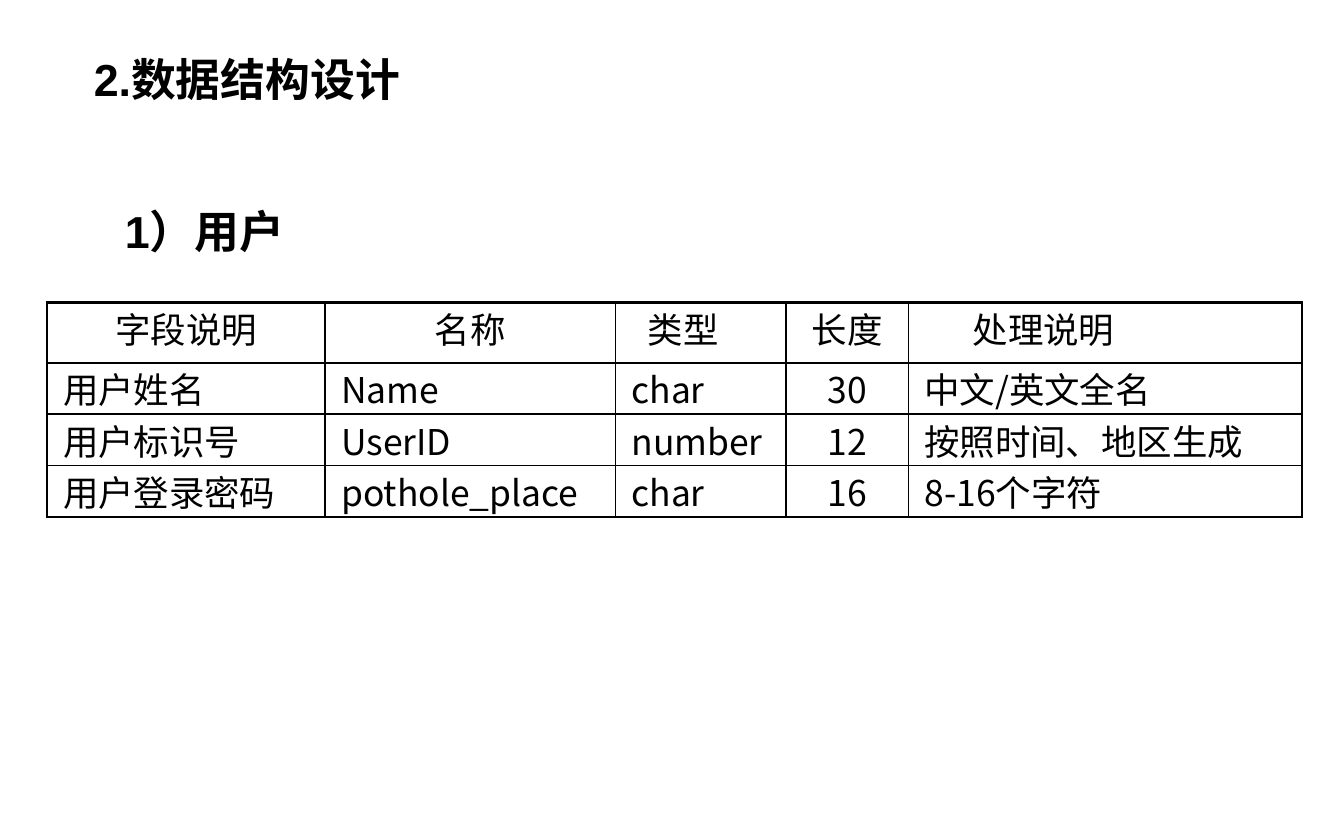
from dataclasses import dataclass

from lxml.etree import SubElement
from pptx import Presentation
from pptx.dml.color import RGBColor
from pptx.enum.text import MSO_ANCHOR, MSO_AUTO_SIZE, PP_ALIGN
from pptx.oxml.ns import qn
from pptx.util import Inches, Pt

SLIDE_W, SLIDE_H = 10, 6.25
COLORS = {"ink": "000000", "paper": "FFFFFF"}
LATIN, CJK = "Arial", "Noto Sans CJK SC"
THIN, THICK = 1, 1.5
CELL_INSET = 0.12


@dataclass(frozen=True)
class Heading:
    text: str
    left: float
    top: float
    width: float
    height: float = 0.08
    indent: float = 0
    space_after: float = 0


@dataclass(frozen=True)
class Column:
    title: str
    width: float
    values: tuple[str, ...]
    title_align: PP_ALIGN = PP_ALIGN.CENTER
    value_align: PP_ALIGN = PP_ALIGN.JUSTIFY
    title_indent: float = 0


HEADINGS = (
    Heading("1）用户", 0.083, 0.235, 0.169),
    Heading("2.数据结构设计", 0.043, 0.054, 0.291, indent=0.17, space_after=6),
)
COLUMNS = (
    Column("字段说明", 2.07, ("用户姓名", "用户标识号", "用户登录密码")),
    Column("名称", 2.16, ("Name", "UserID", "pothole_place")),
    Column("类型", 1.27, ("char", "number", "char"), PP_ALIGN.JUSTIFY, title_indent=0.12),
    Column("长度", 0.91, ("30", "12", "16"), value_align=PP_ALIGN.CENTER),
    Column("处理说明", 2.93, ("中文/英文全名", "按照时间、地区生成", "8-16个字符"),
           PP_ALIGN.JUSTIFY, title_indent=0.36),
)
ROW_HEIGHTS = (0.45, 0.33, 0.33, 0.33)


def add_run(paragraph, text: str, size: float, latin: str, bold: bool = False) -> None:
    run = paragraph.add_run()
    run.text = text
    run.font.size = Pt(size)
    run.font.bold = bold
    run.font.name = latin
    run.font.color.rgb = RGBColor.from_string(COLORS["ink"])
    SubElement(run.font._element, qn("a:ea"), typeface=CJK)


def draw_heading(slide, heading: Heading) -> None:
    box = slide.shapes.add_textbox(
        Inches(heading.left * SLIDE_W), Inches(heading.top * SLIDE_H),
        Inches(heading.width * SLIDE_W), Inches(heading.height * SLIDE_H))
    frame = box.text_frame
    frame.word_wrap = True
    frame.auto_size = MSO_AUTO_SIZE.SHAPE_TO_FIT_TEXT
    frame.vertical_anchor = MSO_ANCHOR.MIDDLE
    paragraph = frame.paragraphs[0]
    paragraph.space_after = Pt(heading.space_after)
    properties = paragraph._p.get_or_add_pPr()
    properties.set("marL", "0")
    properties.set("indent", str(Inches(heading.indent)))
    add_run(paragraph, heading.text, 24, LATIN, bold=True)


def set_borders(cell, widths: dict[str, float]) -> None:
    properties = cell._tc.get_or_add_tcPr()
    for position, (side, width) in enumerate(widths.items()):
        line = SubElement(properties, qn(f"a:ln{side}"), w=str(Pt(width)))
        fill = SubElement(line, qn("a:solidFill"))
        SubElement(fill, qn("a:srgbClr"), val=COLORS["ink"])
        properties.insert(position, line)


def fill_cell(cell, text: str, align: PP_ALIGN, indent: float) -> None:
    cell.fill.background()
    cell.margin_left = cell.margin_right = Inches(CELL_INSET)
    cell.margin_top = cell.margin_bottom = 0
    paragraph = cell.text_frame.paragraphs[0]
    paragraph.alignment = align
    paragraph._p.get_or_add_pPr().set("marL", str(Inches(indent)))
    add_run(paragraph, text, 19, CJK)


def draw_field_table(slide, left: float, top: float) -> None:
    table = slide.shapes.add_table(
        len(ROW_HEIGHTS), len(COLUMNS), Inches(left * SLIDE_W), Inches(top * SLIDE_H),
        Inches(sum(column.width for column in COLUMNS)), Inches(sum(ROW_HEIGHTS))).table
    table.first_row = table.horz_banding = False
    for row, height in zip(table.rows, ROW_HEIGHTS):
        row.height = Inches(height)
    last = len(COLUMNS) - 1
    for c, column in enumerate(COLUMNS):
        table.columns[c].width = Inches(column.width)
        for r, text in enumerate((column.title, *column.values)):
            cell = table.cell(r, c)
            if r == 0:
                fill_cell(cell, text, column.title_align, column.title_indent)
            else:
                fill_cell(cell, text, column.value_align, 0)
            set_borders(cell, {
                "L": THICK if c == 0 else THIN,
                "R": THICK if c == last else THIN,
                "T": THICK if r <= 1 else THIN,
                "B": THICK if r == 0 else THIN,
            })


def main() -> None:
    deck = Presentation()
    deck.slide_width, deck.slide_height = Inches(SLIDE_W), Inches(SLIDE_H)
    slide = deck.slides.add_slide(deck.slide_layouts[6])
    slide.background.fill.solid()
    slide.background.fill.fore_color.rgb = RGBColor.from_string(COLORS["paper"])
    draw_field_table(slide, 0.035, 0.36)
    for heading in HEADINGS:
        draw_heading(slide, heading)
    deck.save("out.pptx")


if __name__ == "__main__":
    main()
